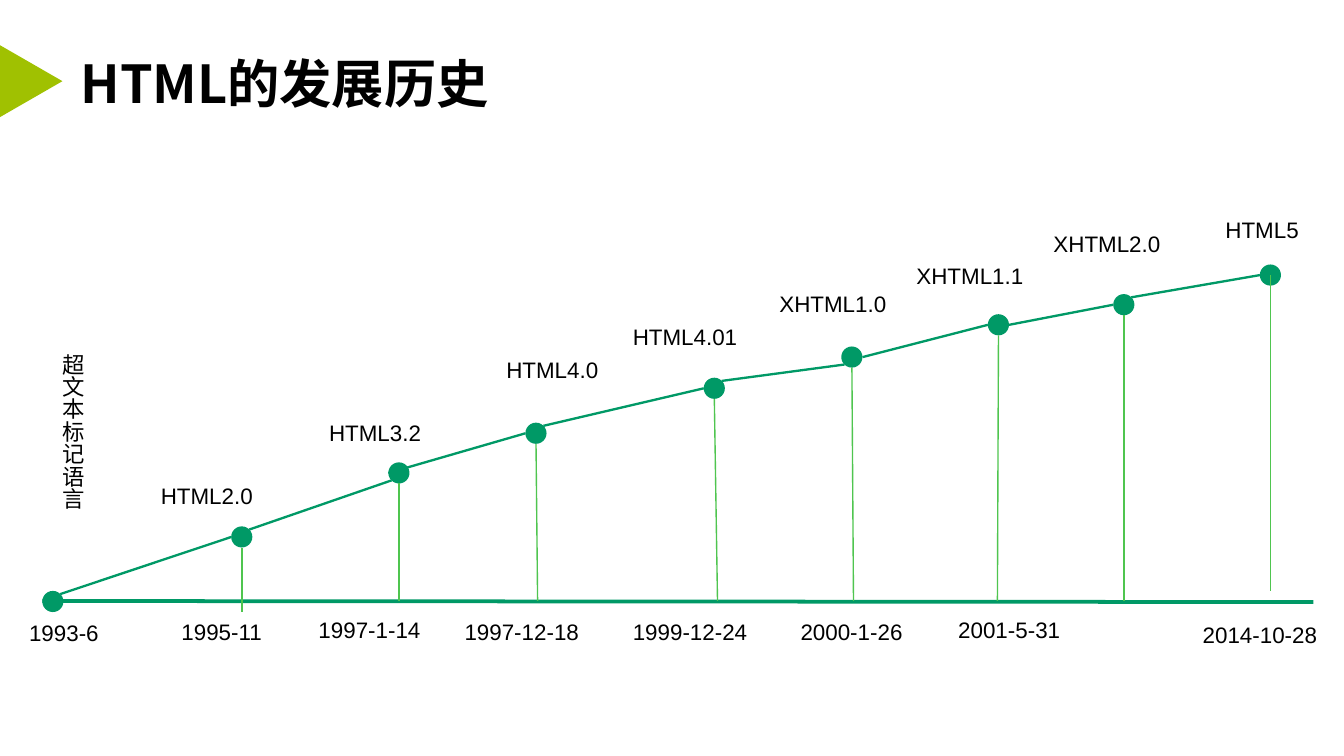
from dataclasses import dataclass
from typing import Optional

from lxml.etree import SubElement
from pptx import Presentation
from pptx.dml.color import RGBColor
from pptx.enum.shapes import MSO_CONNECTOR, MSO_SHAPE
from pptx.enum.text import MSO_ANCHOR, MSO_AUTO_SIZE, PP_ALIGN
from pptx.oxml.ns import qn
from pptx.util import Cm, Pt

GREEN, DROP_GREEN, LIME, BLACK = "009966", "4FC54F", "A0C101", "000000"
LATIN, CJK = "Arial", "Noto Sans CJK SC"
RADIUS = 0.2
DIAGONAL = 0.14
AXIS_Y = 11.36
LABEL_HEIGHT = 0.76

# Where a line meets a dot, as an offset from its centre
LEFT = (-RADIUS, 0)
RIGHT = (RADIUS, 0)
TOP_RIGHT = (DIAGONAL, -DIAGONAL)
BOTTOM_LEFT = (-DIAGONAL, DIAGONAL)
BOTTOM = (0, RADIUS)
CENTRE = (0, 0)

Point = tuple[float, float]


@dataclass(frozen=True)
class Label:
    text: str
    left: float
    top: float
    width: float
    height: float = LABEL_HEIGHT
    font: str = LATIN
    wrap: bool = True
    vertical: bool = False


@dataclass(frozen=True)
class Release:
    centre: Point
    name: Label
    date: Optional[Label] = None
    foot: Optional[Point] = None
    arrive: Point = LEFT
    leave: Point = TOP_RIGHT
    drop_from: Point = BOTTOM


RELEASES = [
    Release((1, 11.37),
            Label("超文本标记语言", 0.74, 6.43, 1.02, 3.25, CJK, False, True),
            Label("1993-6", 0.3, 11.58, 1.83, wrap=False)),
    Release((4.57, 10.15), Label("HTML2.0", 2.79, 8.99, 2.57),
            Label("1995-11", 3.18, 11.56, 2.29), (4.57, 11.56)),
    Release((7.54, 8.94), Label("HTML3.2", 5.97, 7.8, 2.57),
            Label("1997-1-14", 5.77, 11.53, 2.77), (7.54, AXIS_Y),
            arrive=BOTTOM_LEFT, leave=LEFT),
    Release((10.13, 8.19), Label("HTML4.0", 9.32, 6.6, 2.57),
            Label("1997-12-18", 8.53, 11.56, 3.05), (10.16, AXIS_Y)),
    Release((13.5, 7.34), Label("HTML4.01", 11.71, 5.99, 2.84),
            Label("1999-12-24", 11.71, 11.56, 3.05), (13.56, AXIS_Y)),
    Release((16.1, 6.75), Label("XHTML1.0", 14.48, 5.36, 2.9),
            Label("2000-1-26", 14.88, 11.56, 2.77), (16.13, AXIS_Y),
            arrive=BOTTOM_LEFT, leave=RIGHT),
    Release((18.87, 6.14), Label("XHTML1.1", 17.07, 4.83, 2.9),
            Label("2001-5-31", 17.86, 11.53, 2.77), (18.85, AXIS_Y),
            leave=RIGHT),
    Release((21.24, 5.76), Label("XHTML2.0", 19.66, 4.22, 2.9),
            foot=(21.24, AXIS_Y)),
    Release((24.01, 5.2), Label("HTML5", 22.91, 3.96, 2.13),
            Label("2014-10-28", 22.48, 11.61, 3.05), (24.01, 11.18),
            drop_from=CENTRE),
]


def colour(hex_value: str) -> RGBColor:
    return RGBColor.from_string(hex_value)


def shift(point: Point, offset: Point) -> Point:
    return point[0] + offset[0], point[1] + offset[1]


def style_text(paragraph, font: str, size: float, bold: bool = False) -> None:
    for run in paragraph.runs:
        run.font.name = font
        run.font.size = Pt(size)
        run.font.bold = bold
        run.font.color.rgb = colour(BLACK)
        SubElement(run.font._element, qn("a:ea")).set("typeface", font)


def add_label(slide, label: Label) -> None:
    box = slide.shapes.add_textbox(Cm(label.left), Cm(label.top),
                                   Cm(label.width), Cm(label.height))
    frame = box.text_frame
    frame.text = label.text
    frame.word_wrap = label.wrap
    frame.auto_size = MSO_AUTO_SIZE.SHAPE_TO_FIT_TEXT
    if label.vertical:
        frame._txBody.bodyPr.set("vert", "eaVert")
    style_text(frame.paragraphs[0], label.font, 12)


def add_line(slide, start: Point, end: Point, hex_value: str,
             width: float) -> None:
    line = slide.shapes.add_connector(
        MSO_CONNECTOR.STRAIGHT, *(Cm(value) for value in (*start, *end)))
    line.line.color.rgb = colour(hex_value)
    line.line.width = Pt(width)
    SubElement(line._element.spPr, qn("a:effectLst"))


def add_plain_shape(slide, kind, left: float, top: float, width: float,
                    height: float, hex_value: str):
    shape = slide.shapes.add_shape(kind, Cm(left), Cm(top), Cm(width),
                                   Cm(height))
    shape.shadow.inherit = False
    shape.fill.solid()
    shape.fill.fore_color.rgb = colour(hex_value)
    shape.line.fill.background()
    return shape


def add_heading(slide) -> None:
    marker = add_plain_shape(slide, MSO_SHAPE.ISOSCELES_TRIANGLE,
                             -0.1, 0.94, 1.37, 1.19, LIME)
    marker.rotation = 90
    title = slide.shapes.title
    title.left, title.top = Cm(1.27), Cm(0.58)
    title.width, title.height = Cm(19.84), Cm(1.96)
    frame = title.text_frame
    frame.text = "HTML的发展历史"
    frame.auto_size = MSO_AUTO_SIZE.NONE
    frame.vertical_anchor = MSO_ANCHOR.MIDDLE
    frame.paragraphs[0].alignment = PP_ALIGN.LEFT
    style_text(frame.paragraphs[0], CJK, 28, bold=True)


def add_timeline(slide) -> None:
    add_line(slide, (0.8, AXIS_Y), (24.82, 11.38), GREEN, 2)
    for release in RELEASES:
        x, y = shift(release.centre, (-RADIUS, -RADIUS))
        add_plain_shape(slide, MSO_SHAPE.OVAL, x, y, 2 * RADIUS, 2 * RADIUS,
                        GREEN)
    for earlier, later in zip(RELEASES, RELEASES[1:]):
        add_line(slide, shift(earlier.centre, earlier.leave),
                 shift(later.centre, later.arrive), GREEN, 1.25)
    for release in RELEASES:
        if release.foot:
            add_line(slide, shift(release.centre, release.drop_from),
                     release.foot, DROP_GREEN, 0.75)
        add_label(slide, release.name)
        if release.date:
            add_label(slide, release.date)


def main() -> None:
    deck = Presentation()
    deck.slide_width, deck.slide_height = Cm(25.4), Cm(14.29)
    slide = deck.slides.add_slide(deck.slide_layouts[5])
    add_heading(slide)
    add_timeline(slide)
    deck.save("out.pptx")


if __name__ == "__main__":
    main()
